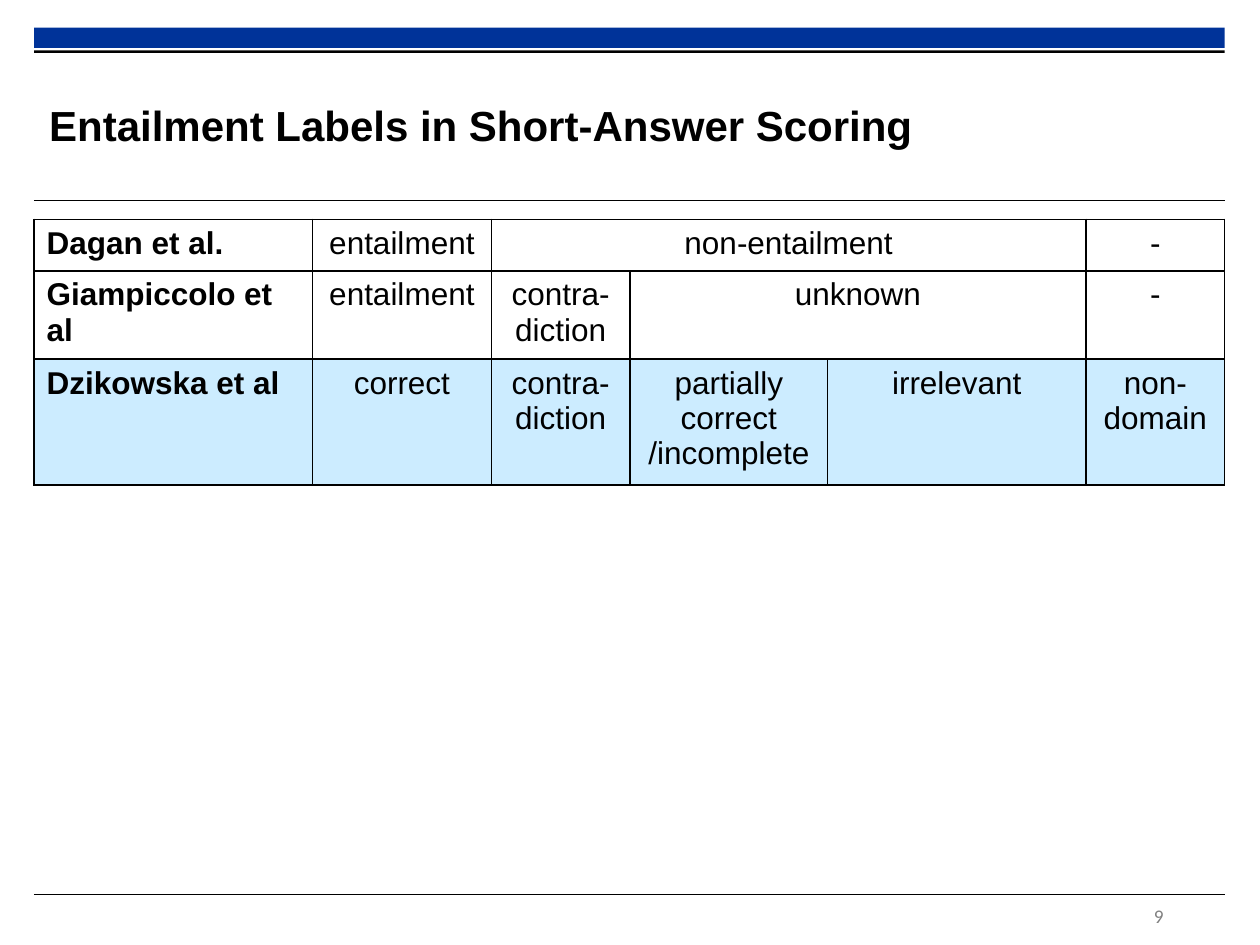
from dataclasses import dataclass

import pptx
import pptx.dml.color
import pptx.enum.shapes
import pptx.enum.text
import pptx.oxml.ns
import pptx.util
from lxml import etree

RGBColor = pptx.dml.color.RGBColor
Inches = pptx.util.Inches
Pt = pptx.util.Pt
Align = pptx.enum.text.PP_ALIGN
Anchor = pptx.enum.text.MSO_ANCHOR
qn = pptx.oxml.ns.qn

BLACK = RGBColor(0x00, 0x00, 0x00)
WHITE = RGBColor(0xFF, 0xFF, 0xFF)
NAVY = RGBColor(0x00, 0x33, 0x99)
PALE_BLUE = RGBColor(0xCC, 0xEC, 0xFF)
GREY = RGBColor(0x80, 0x80, 0x80)

# Shared page margins, in inches
LEFT, WIDTH = 0.27, 9.45
TABLE_TOP = 1.74
COLUMNS = (2.21, 1.42, 1.1, 1.57, 2.05, 1.1)
ROWS = (0.41, 0.66, 0.94)


@dataclass
class Label:
    """A table entry: paragraphs, each a list of lines, over some columns."""
    paragraphs: list[list[str]]
    span: int = 1


@dataclass
class Scheme:
    """One author's set of labels."""
    author: str
    labels: list[Label]
    fill: RGBColor = WHITE


SCHEMES = [
    Scheme("Dagan et al.", [
        Label([["entailment"]]), Label([["non-entailment"]], 3), Label([["-"]])]),
    Scheme("Giampiccolo et al", [
        Label([["entailment"]]), Label([["contra-", "diction"]]),
        Label([["unknown"]], 2), Label([["-"]])]),
    Scheme("Dzikowska et al", [
        Label([["correct"]]), Label([["contra-diction"]]),
        Label([["partially correct"], ["/incomplete"]]),
        Label([["irrelevant"]]), Label([["non-domain"]])], PALE_BLUE),
]


def add_run(paragraph, text: str, size: float, color: RGBColor = BLACK,
            bold: bool = False, font: str = "Arial") -> None:
    run = paragraph.add_run()
    run.text = text
    run.font.name, run.font.size = font, Pt(size)
    run.font.bold = bold
    run.font.color.rgb = color


def add_bar(slide, top: float, height: float, color: RGBColor) -> None:
    bar = slide.shapes.add_shape(
        pptx.enum.shapes.MSO_SHAPE.RECTANGLE,
        Inches(LEFT), Inches(top), Inches(WIDTH), Inches(height))
    bar.shadow.inherit = False
    bar.fill.solid()
    bar.fill.fore_color.rgb = color
    bar.line.fill.background()


def add_rule(slide, y: float) -> None:
    rule = slide.shapes.add_connector(
        pptx.enum.shapes.MSO_CONNECTOR.STRAIGHT,
        Inches(LEFT), Inches(y), Inches(LEFT + WIDTH), Inches(y))
    rule.line.color.rgb = BLACK
    rule.line.width = Pt(0.6)
    etree.SubElement(rule._element.spPr, qn("a:effectLst"))


def add_borders(cell) -> None:
    properties = cell._tc.get_or_add_tcPr()
    for position, side in enumerate(("a:lnL", "a:lnR", "a:lnT", "a:lnB")):
        border = etree.Element(qn(side), w=str(Pt(1)))
        fill = etree.SubElement(border, qn("a:solidFill"))
        etree.SubElement(fill, qn("a:srgbClr"), val=str(BLACK))
        properties.insert(position, border)


def fill_cell(cell, label: Label, align, bold: bool) -> None:
    for index, lines in enumerate(label.paragraphs):
        frame = cell.text_frame
        paragraph = frame.add_paragraph() if index else frame.paragraphs[0]
        paragraph.alignment = align
        for number, line in enumerate(lines):
            if number:
                paragraph.add_line_break()
            add_run(paragraph, line, 18, bold=bold)


def add_label_table(slide) -> None:
    table = slide.shapes.add_table(
        len(ROWS), len(COLUMNS), Inches(LEFT), Inches(TABLE_TOP),
        Inches(WIDTH), Inches(sum(ROWS))).table
    table.first_row = table.horz_banding = False
    for column, width in zip(table.columns, COLUMNS):
        column.width = Inches(width)
    for row, height in zip(table.rows, ROWS):
        row.height = Inches(height)

    for row, scheme in enumerate(SCHEMES):
        for column in range(len(COLUMNS)):
            cell = table.cell(row, column)
            cell.fill.solid()
            cell.fill.fore_color.rgb = scheme.fill
            add_borders(cell)
        fill_cell(table.cell(row, 0), Label([[scheme.author]]), Align.LEFT, True)
        column = 1
        for label in scheme.labels:
            cell = table.cell(row, column)
            if label.span > 1:
                cell.merge(table.cell(row, column + label.span - 1))
            fill_cell(cell, label, Align.CENTER, False)
            column += label.span


def add_title(slide, text: str) -> None:
    title = slide.shapes.title
    title.left, title.top = Inches(0.39), Inches(0.53)
    title.width, title.height = Inches(7.11), Inches(0.92)
    frame = title.text_frame
    frame.margin_left = frame.margin_right = 0
    frame.margin_top = frame.margin_bottom = 0
    frame.vertical_anchor = Anchor.MIDDLE
    frame.paragraphs[0].alignment = Align.LEFT
    add_run(frame.paragraphs[0], text, 24, bold=True)


def add_page_number(slide, number: int) -> None:
    frame = slide.shapes.add_textbox(
        Inches(9.06), Inches(7.11), Inches(0.55), Inches(0.31)).text_frame
    frame.word_wrap = True
    frame.vertical_anchor = Anchor.MIDDLE
    add_run(frame.paragraphs[0], str(number), 11, GREY, font="Calibri")


def main() -> None:
    deck = pptx.Presentation()
    deck.slide_width, deck.slide_height = Inches(10), Inches(7.5)
    slide = deck.slides.add_slide(deck.slide_layouts.get_by_name("Title Only"))

    # Page frame
    add_bar(slide, 0.22, 0.16, NAVY)
    add_bar(slide, 0.4, 0.02, BLACK)
    for y in (1.59, 7.1):
        add_rule(slide, y)
    add_page_number(slide, 9)

    # Content
    add_title(slide, "Entailment Labels in Short-Answer Scoring")
    add_label_table(slide)
    deck.save("out.pptx")


if __name__ == "__main__":
    main()
